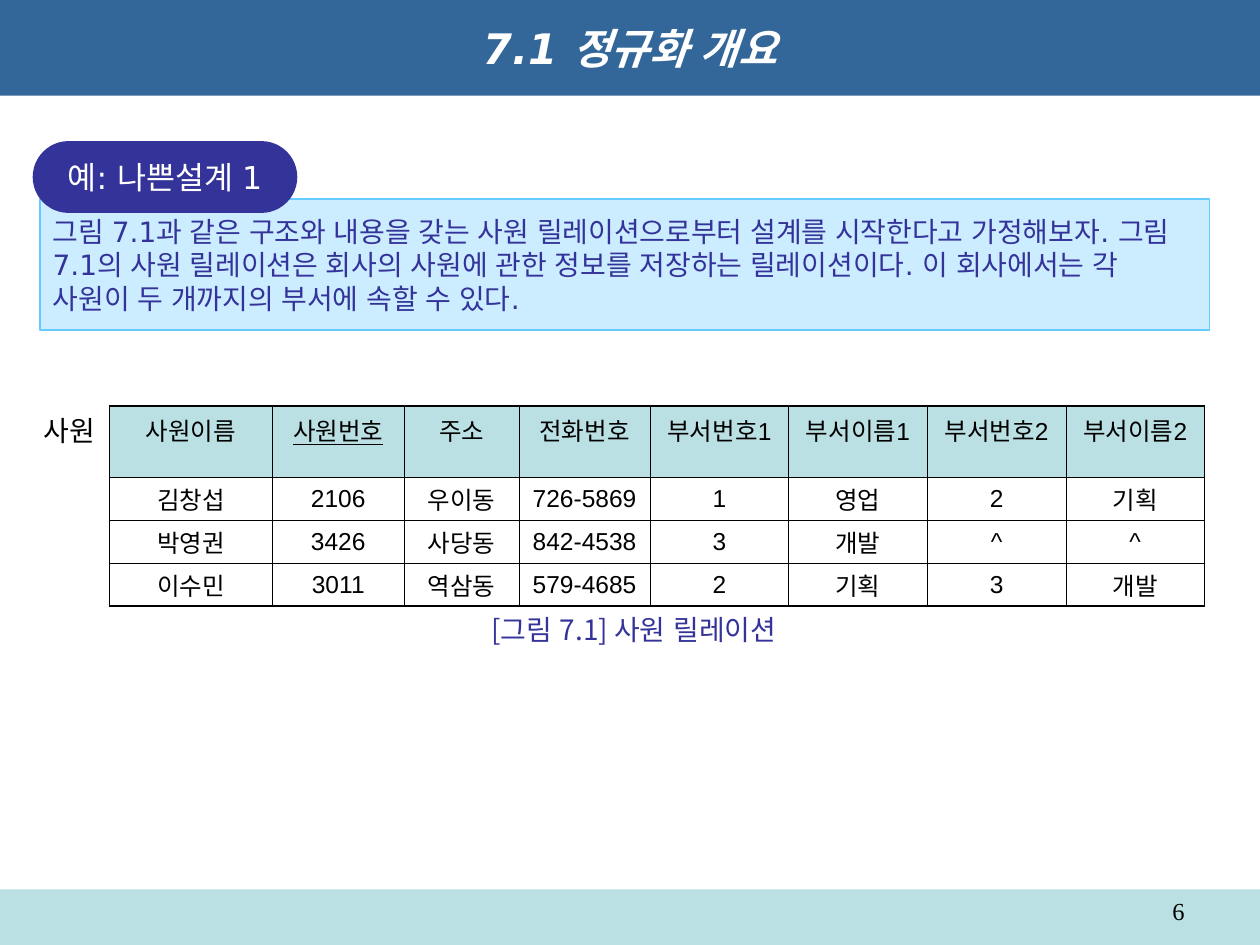
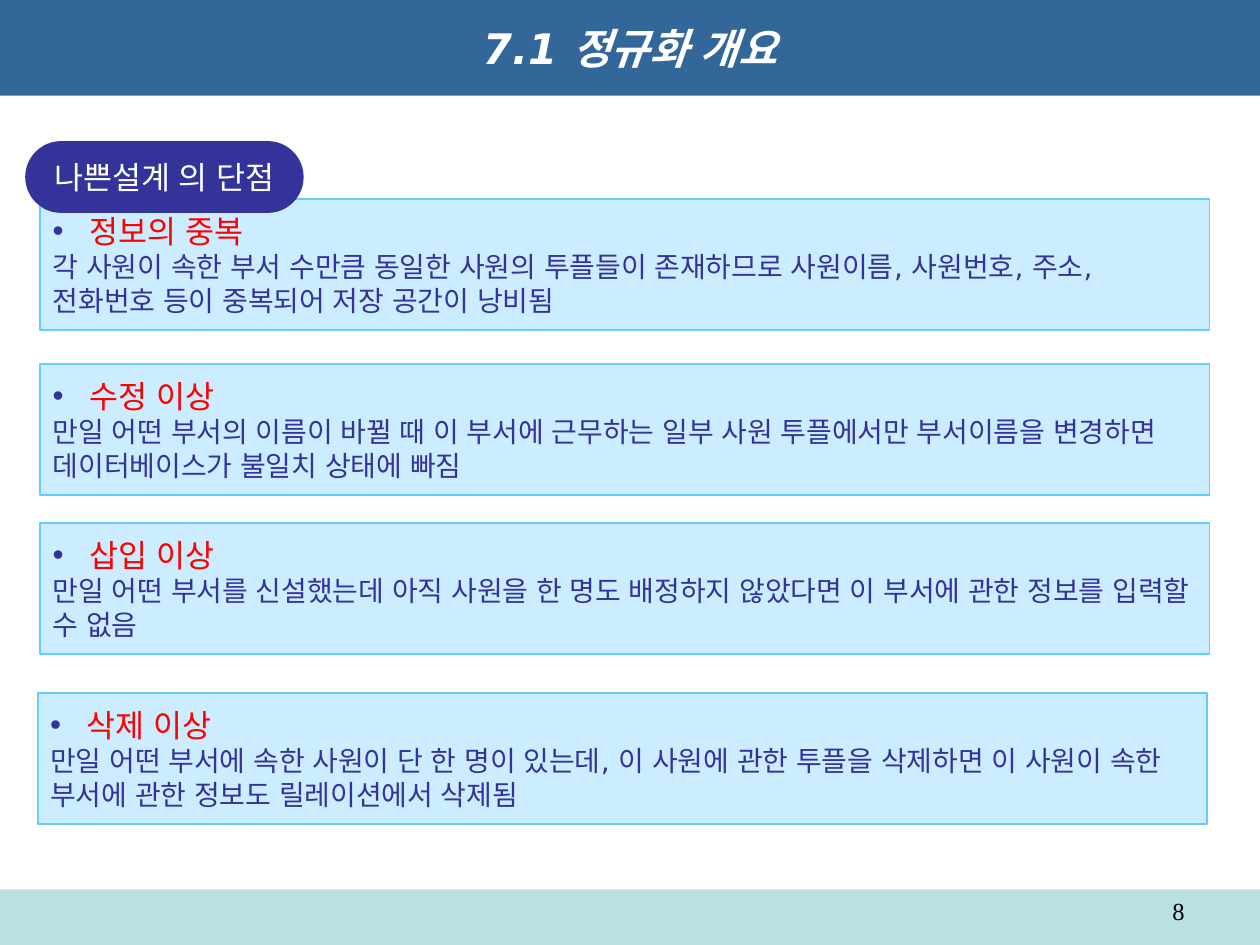
from lxml import etree
from pptx import Presentation
from pptx.dml.color import RGBColor
from pptx.enum.lang import MSO_LANGUAGE_ID as LANGUAGE
from pptx.enum.shapes import MSO_SHAPE as SHAPE
from pptx.enum.text import MSO_ANCHOR as ANCHOR, PP_ALIGN as ALIGN
from pptx.oxml.ns import qn
from pptx.util import Inches, Pt

WHITE = RGBColor(0xFF, 0xFF, 0xFF)
BLACK = RGBColor(0, 0, 0)
RED = RGBColor(0xFF, 0, 0)
TITLE_BLUE = RGBColor(0x33, 0x66, 0x99)
INDIGO = RGBColor(0x33, 0x33, 0x99)
PALE_BLUE = RGBColor(0xCC, 0xEC, 0xFF)
SKY_BLUE = RGBColor(0x66, 0xCC, 0xFF)
TEAL = RGBColor(0xBB, 0xE0, 0xE3)

TITLE = "7.1 정규화 개요"
BODY_FONT = "DejaVu Sans"
BOX_WIDTH, BOX_HEIGHT = 9.28, 1.04


def style_paragraph(paragraph, text, size, color, font=BODY_FONT, align=ALIGN.LEFT):
    paragraph.text = text
    paragraph.alignment = align
    paragraph.font.size = Pt(size)
    paragraph.font.name = font
    paragraph.font.color.rgb = color
    paragraph.font.language_id = LANGUAGE.KOREAN


def add_panel(slide, kind, left, top, width, height, fill, line=None):
    shape = slide.shapes.add_shape(kind, Inches(left), Inches(top), Inches(width), Inches(height))
    shape.shadow.inherit = False
    shape.fill.solid()
    shape.fill.fore_color.rgb = fill
    if line is None:
        shape.line.fill.background()
    else:
        shape.line.color.rgb = line
        shape.line.width = Pt(1)
    shape.text_frame.vertical_anchor = ANCHOR.MIDDLE
    return shape


presentation = Presentation()
presentation.slide_width = Inches(10)
presentation.slide_height = Inches(7.5)

pages = [
    ("6", "예: 나쁜설계 1", 0.26, 2.1, [
        (0.32, 1.58, None,
         "그림 7.1과 같은 구조와 내용을 갖는 사원 릴레이션으로부터 설계를 시작한다고 가정해보자. "
         "그림 7.1의 사원 릴레이션은 회사의 사원에 관한 정보를 저장하는 릴레이션이다. "
         "이 회사에서는 각 사원이 두 개까지의 부서에 속할 수 있다."),
    ]),
    ("8", "나쁜설계 의 단점", 0.2, 2.21, [
        (0.32, 1.58, "정보의 중복",
         "각 사원이 속한 부서 수만큼 동일한 사원의 투플들이 존재하므로 사원이름, 사원번호, 주소, "
         "전화번호 등이 중복되어 저장 공간이 낭비됨"),
        (0.32, 2.89, "수정 이상",
         "만일 어떤 부서의 이름이 바뀔 때 이 부서에 근무하는 일부 사원 투플에서만 부서이름을 변경하면 "
         "데이터베이스가 불일치 상태에 빠짐"),
        (0.32, 4.15, "삽입 이상",
         "만일 어떤 부서를 신설했는데 아직 사원을 한 명도 배정하지 않았다면 이 부서에 관한 정보를 입력할 수 없음"),
        (0.3, 5.5, "삭제 이상",
         "만일 어떤 부서에 속한 사원이 단 한 명이 있는데, 이 사원에 관한 투플을 삭제하면 이 사원이 속한 "
         "부서에 관한 정보도 릴레이션에서 삭제됨"),
    ]),
]

for number, label_text, label_left, label_width, boxes in pages:
    slide = presentation.slides.add_slide(presentation.slide_layouts[5])
    add_panel(slide, SHAPE.RECTANGLE, 0, 7.06, 10, 0.44, TEAL)

    title = slide.shapes.title
    title.left, title.top = Inches(0), Inches(0)
    title.width, title.height = Inches(10), Inches(0.76)
    title.fill.solid()
    title.fill.fore_color.rgb = TITLE_BLUE
    title.text_frame.vertical_anchor = ANCHOR.MIDDLE
    heading = title.text_frame.paragraphs[0]
    style_paragraph(heading, TITLE, 24, WHITE, align=ALIGN.CENTER)
    heading.font.bold = True
    heading.font.italic = True

    page_number = slide.shapes.add_textbox(Inches(7.17), Inches(7.06), Inches(2.33), Inches(0.29))
    page_number.text_frame.word_wrap = True
    style_paragraph(page_number.text_frame.paragraphs[0], number, 14, BLACK, "Times New Roman", ALIGN.RIGHT)

    for left, top, term, text in boxes:
        box = add_panel(slide, SHAPE.RECTANGLE, left, top, BOX_WIDTH, BOX_HEIGHT, PALE_BLUE, SKY_BLUE)
        paragraph = box.text_frame.paragraphs[0]
        if term:
            properties = paragraph._p.get_or_add_pPr()
            properties.set("marL", str(Inches(0.29)))
            properties.set("indent", str(-Inches(0.29)))
            bullet_color = etree.SubElement(properties, qn("a:buClr"))
            etree.SubElement(bullet_color, qn("a:srgbClr"), val=str(INDIGO))
            etree.SubElement(properties, qn("a:buFont"), typeface="Arial")
            etree.SubElement(properties, qn("a:buChar"), char="•")
            style_paragraph(paragraph, term, 18, RED)
            paragraph = box.text_frame.add_paragraph()
        style_paragraph(paragraph, text, 16, INDIGO)

    label = add_panel(slide, SHAPE.ROUNDED_RECTANGLE, label_left, 1.12, label_width, 0.57, INDIGO)
    label.adjustments[0] = 0.5
    label.text_frame.word_wrap = False
    style_paragraph(label.text_frame.paragraphs[0], label_text, 18, WHITE, align=ALIGN.CENTER)

slide = presentation.slides[0]
employees = [
    ["사원이름", "사원번호", "주소", "전화번호", "부서번호1", "부서이름1", "부서번호2", "부서이름2"],
    ["김창섭", "2106", "우이동", "726-5869", "1", "영업", "2", "기획"],
    ["박영권", "3426", "사당동", "842-4538", "3", "개발", "^", "^"],
    ["이수민", "3011", "역삼동", "579-4685", "2", "기획", "3", "개발"],
]
column_widths = [1.29, 1.05, 0.91, 1.04, 1.1, 1.1, 1.1, 1.1]
row_heights = [0.57, 0.34, 0.34, 0.34]
last_row, last_column = len(row_heights) - 1, len(column_widths) - 1
table = slide.shapes.add_table(len(row_heights), len(column_widths), Inches(0.87), Inches(3.22),
                               Inches(sum(column_widths)), Inches(sum(row_heights))).table
for column, width in zip(table.columns, column_widths):
    column.width = Inches(width)
for row, height in zip(table.rows, row_heights):
    row.height = Inches(height)

for row_index, values in enumerate(employees):
    for column_index, value in enumerate(values):
        cell = table.cell(row_index, column_index)
        paragraph = cell.text_frame.paragraphs[0]
        style_paragraph(paragraph, value, 14, BLACK, "Arial", ALIGN.CENTER)
        paragraph.font.bold = False
        outer_sides = {"lnL": column_index == 0, "lnR": column_index == last_column,
                       "lnT": row_index == 0, "lnB": row_index == last_row}
        for side, is_outer in outer_sides.items():
            border = etree.SubElement(cell._tc.get_or_add_tcPr(), qn("a:" + side),
                                      w=str(Pt(1.08 if is_outer else 0.45)))
            border_fill = etree.SubElement(border, qn("a:solidFill"))
            etree.SubElement(border_fill, qn("a:srgbClr"), val=str(BLACK))
        if row_index == 0:
            cell.fill.solid()
            cell.fill.fore_color.rgb = TEAL
            paragraph.font.underline = value == "사원번호"
        else:
            cell.fill.background()
            cell.vertical_anchor = ANCHOR.MIDDLE
            cell.margin_top = cell.margin_bottom = Inches(0.03)

captions = [
    (0.25, 3.23, 0.63, "사원", BLACK, "Noto Sans CJK JP"),
    (3.8, 4.81, 2.73, "[그림 7.1] 사원 릴레이션", INDIGO, "Noto Sans CJK KR"),
]
for left, top, width, text, color, font in captions:
    caption = slide.shapes.add_textbox(Inches(left), Inches(top), Inches(width), Inches(0.37))
    caption.text_frame.word_wrap = False
    caption.text_frame.vertical_anchor = ANCHOR.MIDDLE
    style_paragraph(caption.text_frame.paragraphs[0], text, 16, color, font)

presentation.save("out.pptx")
